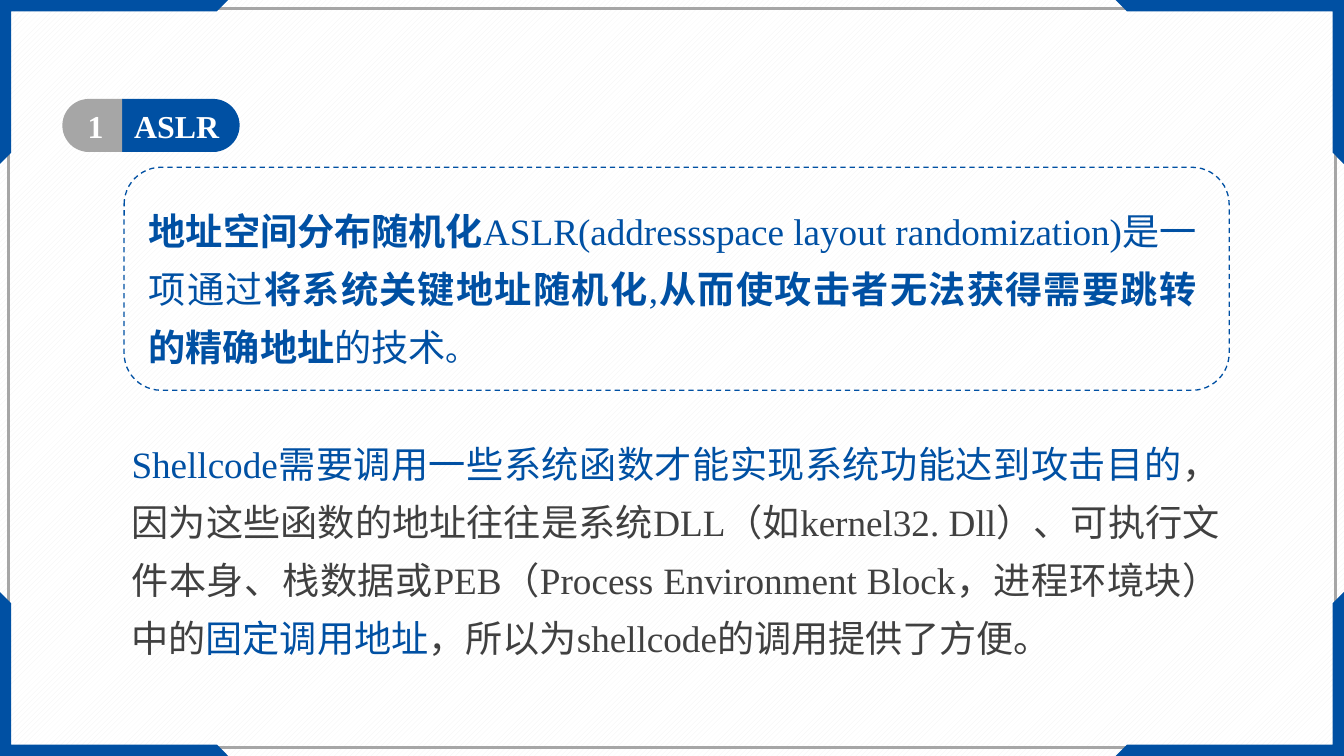
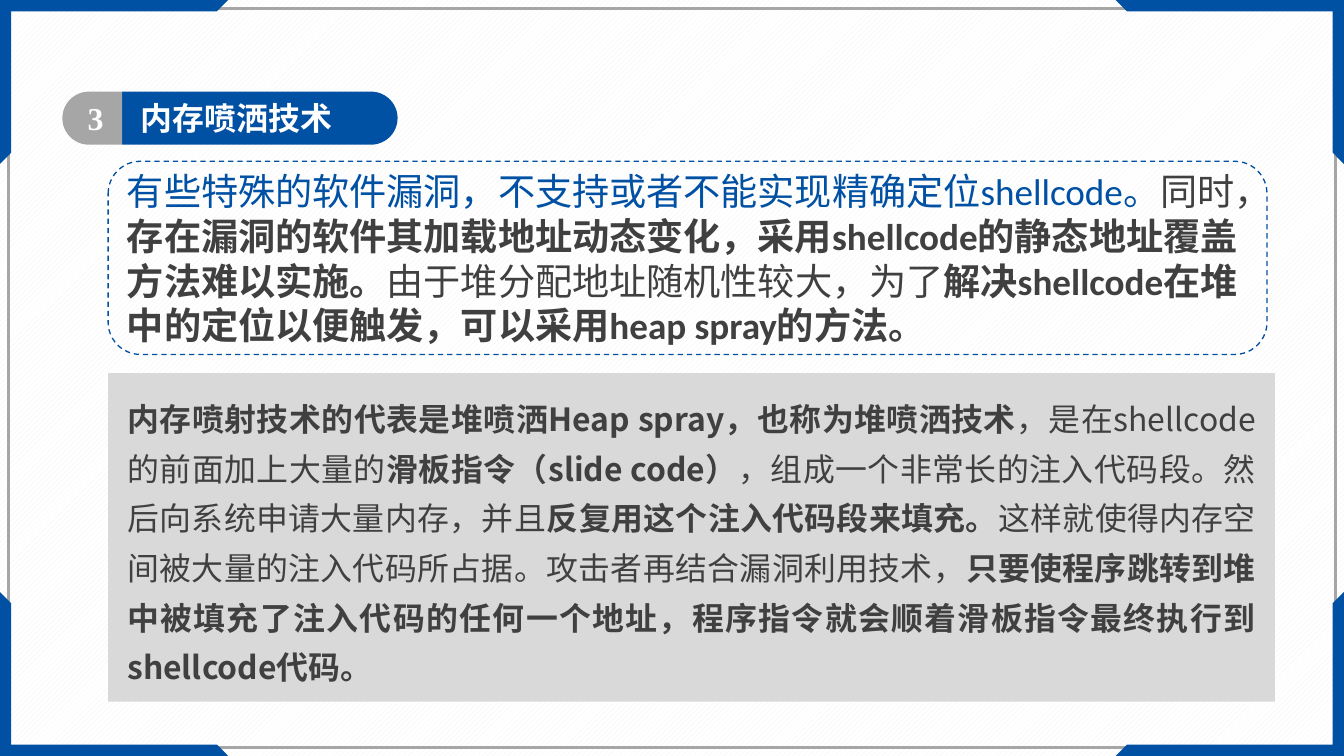
import pptx
import pptx.dml.color
import pptx.enum.dml
import pptx.enum.shapes
import pptx.enum.text
import pptx.util
import lxml.etree

Pt = pptx.util.Pt
RGB = pptx.dml.color.RGBColor
SHAPE = pptx.enum.shapes.MSO_SHAPE
ALIGN = pptx.enum.text.PP_ALIGN
ANCHOR = pptx.enum.text.MSO_ANCHOR

BLUE = RGB(0x00, 0x50, 0xA3)
GREY = RGB(0xA6, 0xA6, 0xA6)
PALE = RGB(0xD9, 0xD9, 0xD9)
HATCH = RGB(0xF2, 0xF2, 0xF2)
INK = RGB(0x40, 0x40, 0x40)
WHITE = RGB(0xFF, 0xFF, 0xFF)

SERIF, SANS, HAN = "Times New Roman", "Calibri", "Noto Sans CJK SC"
WIDE, HIGH = 1012.5, 569.5
EDGE = 6.5
CORNER = [(0, 0), (172, 0), (163.5, 8.5), (8.5, 8.5), (8.5, 115), (0, 123.5)]
BADGE_X, NUM_W, BADGE_H = 47, 45, 40

# Each run: text, colour, bold, and a size where it differs.
# Each block: kind, box of the outline, box of the text, then text settings.
SLIDES = [
    {
        "num": "1", "title": "ASLR", "font": SERIF,
        "top": 74.5, "width": 88.5, "inset": 9,
        "blocks": [
            {"kind": "dashed", "box": (93.5, 126, 832.5, 168)},
            {
                "kind": "text", "box": (105, 143.5, 803.5, 178),
                "font": SERIF, "size": 28, "align": ALIGN.JUSTIFY, "gap": 1.3,
                "runs": [
                    ("地址空间分布随机化", BLUE, True),
                    ("ASLR(addressspace layout randomization)是一项通过", BLUE, False),
                    ("将系统关键地址随机化", BLUE, True),
                    (",", BLUE, False),
                    ("从而使攻击者无法获得需要跳转的精确地址", BLUE, True),
                    ("的技术", BLUE, False),
                    ("。", BLUE, False, 24),
                ],
            },
            {
                "kind": "text", "box": (92, 319, 834, 179),
                "font": SERIF, "size": 28, "align": ALIGN.JUSTIFY, "gap": 1.3,
                "runs": [
                    ("Shellcode需要调用一些系统函数才能实现系统功能达到攻击目的",
                     BLUE, False),
                    ("，因为这些函数的地址往往是系统DLL（如kernel32. Dll）、"
                     "可执行文件本身、栈数据或PEB（Process Environment Block，"
                     "进程环境块）中的", INK, False),
                    ("固定调用地址", BLUE, False),
                    ("，所以为shellcode的调用提供了方便。", INK, False),
                ],
            },
        ],
    },
    {
        "num": "3", "title": "内存喷洒技术", "font": SANS,
        "top": 69, "width": 207.5, "inset": 14,
        "blocks": [
            {
                "kind": "dashed", "box": (81.5, 121.5, 873, 145.5),
                "font": SANS, "size": 28, "anchor": ANCHOR.MIDDLE,
                "runs": [
                    ("有些特殊的软件漏洞，不支持或者不能实现精确定位shellcode。",
                     BLUE, False),
                    ("同时，", INK, False),
                    ("存在漏洞的软件其加载地址动态变化，采用shellcode的"
                     "静态地址覆盖方法难以实施。", INK, True),
                    ("由于堆分配地址随机性较大，为了", INK, False),
                    ("解决shellcode在堆中的定位以便触发，"
                     "可以采用heap spray的方法。", INK, True),
                ],
            },
            {
                "kind": "panel", "box": (81.5, 281, 879, 247.5),
                "font": HAN, "size": 24, "align": ALIGN.JUSTIFY, "gap": 1.3,
                "anchor": ANCHOR.MIDDLE, "side": 14.4,
                "runs": [
                    ("内存喷射技术的代表是堆喷洒Heap spray，也称为堆喷洒技术",
                     INK, True),
                    ("，是在shellcode的前面加上大量的", INK, False),
                    ("滑板指令（slide code）", INK, True),
                    ("，组成一个非常长的注入代码段。然后向系统申请大量内存，并且",
                     INK, False),
                    ("反复用这个注入代码段来填充。", INK, True),
                    ("这样就使得内存空间被大量的注入代码所占据。"
                     "攻击者再结合漏洞利用技术，", INK, False),
                    ("只要使程序跳转到堆中被填充了注入代码的任何一个地址，"
                     "程序指令就会顺着滑板指令最终执行到shellcode代码。", INK, True),
                ],
            },
        ],
    },
]


def points(box):
    return [Pt(v) for v in box]


def paint(shape, fill=None, line=None, weight=1):
    shape.shadow.inherit = False
    if fill is None:
        shape.fill.background()
    else:
        shape.fill.solid()
        shape.fill.fore_color.rgb = fill
    if line is None:
        shape.line.fill.background()
    else:
        shape.line.color.rgb = line
        shape.line.width = Pt(weight)


def write(shape, runs, font, size, align=ALIGN.LEFT, gap=1.0,
          anchor=ANCHOR.TOP, side=7.2):
    frame = shape.text_frame
    frame.word_wrap = True
    frame.auto_size = pptx.enum.text.MSO_AUTO_SIZE.NONE
    frame.vertical_anchor = anchor
    frame.margin_left = frame.margin_right = Pt(side)
    frame.margin_top = frame.margin_bottom = Pt(3.6)
    para = frame.paragraphs[0]
    para.alignment = align
    para.line_spacing = gap
    for text, color, bold, *other in runs:
        run = para.add_run()
        run.text = text
        run.font.size = Pt(other[0] if other else size)
        run.font.bold = bold
        run.font.color.rgb = color
        run.font.name = font
        props = run.font._element if hasattr(run.font, "_element") else run._r.get_or_add_rPr()
        lxml.etree.SubElement(props, pptx.oxml.ns.qn("a:ea"), typeface=HAN)


def dress(layout, slide):
    """Give the layout its hatched ground, thin frame and four corners."""
    fill = layout.background.fill
    fill.patterned()
    fill.pattern = pptx.enum.dml.MSO_PATTERN.WIDE_UPWARD_DIAGONAL
    fill.fore_color.rgb = HATCH
    fill.back_color.rgb = WHITE

    frame = slide.shapes.add_shape(
        SHAPE.RECTANGLE,
        *points((EDGE, EDGE, WIDE - 2 * EDGE, HIGH - 2 * EDGE)))
    paint(frame, line=GREY, weight=2)
    parts = [frame]
    for right in (False, True):
        for low in (False, True):
            path = [(Pt(WIDE - x if right else x), Pt(HIGH - y if low else y))
                    for x, y in CORNER]
            pen = slide.shapes.build_freeform(*path[0])
            pen.add_line_segments(path[1:], close=True)
            corner = pen.convert_to_shape()
            paint(corner, fill=BLUE)
            parts.append(corner)
    for part in parts:
        layout.shapes.element.append(part.element)


def add_cap(slide, left, top, width, turn, color):
    """Add half of a pill, lying on its side, that fills the given place."""
    shift = (width - BADGE_H) / 2
    cap = slide.shapes.add_shape(
        SHAPE.ROUND_2_SAME_RECTANGLE,
        *points((left + shift, top - shift, BADGE_H, width)))
    cap.adjustments[0] = 0.5
    cap.adjustments[1] = 0
    cap.rotation = turn
    paint(cap, fill=color)


def add_badge(slide, data):
    top, width = data["top"], data["width"]
    seam = BADGE_X + NUM_W
    add_cap(slide, seam, top, width, 90, BLUE)
    add_cap(slide, BADGE_X, top, NUM_W, 270, GREY)
    num = slide.shapes.add_textbox(
        *points((BADGE_X + 3, top, NUM_W - 1, BADGE_H)))
    write(num, [(data["num"], WHITE, True)], SERIF, 24, ALIGN.CENTER,
          anchor=ANCHOR.MIDDLE)
    title = slide.shapes.title
    title.left, title.top, title.width, title.height = points(
        (seam, top, width, BADGE_H))
    write(title, [(data["title"], WHITE, True)], data["font"], 24,
          anchor=ANCHOR.MIDDLE, side=data["inset"])
    slide.shapes.element.append(title.element)


def add_block(slide, kind, box, **text):
    place = points(box)
    if kind == "text":
        shape = slide.shapes.add_textbox(*place)
    elif kind == "dashed":
        shape = slide.shapes.add_shape(SHAPE.ROUNDED_RECTANGLE, *place)
        paint(shape, line=BLUE)
        shape.line.dash_style = pptx.enum.dml.MSO_LINE.DASH
    else:
        shape = slide.shapes.add_shape(SHAPE.RECTANGLE, *place)
        paint(shape, fill=PALE)
    if text:
        write(shape, **text)


def main():
    deck = pptx.Presentation()
    deck.slide_width, deck.slide_height = Pt(WIDE), Pt(HIGH)
    layout = deck.slide_layouts[5]
    for index, data in enumerate(SLIDES):
        slide = deck.slides.add_slide(layout)
        if index == 0:
            dress(layout, slide)
        add_badge(slide, data)
        for block in data["blocks"]:
            add_block(slide, **block)
    deck.save("out.pptx")


if __name__ == "__main__":
    main()
